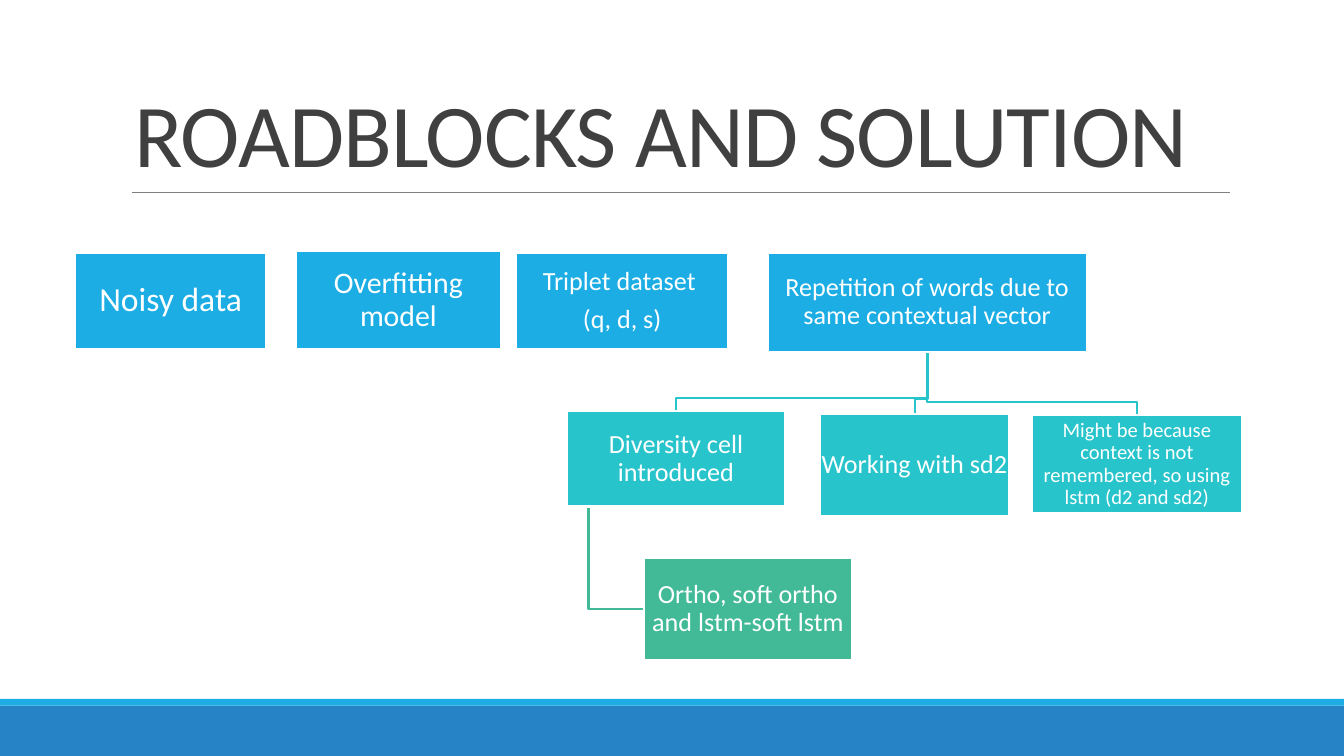
import pptx
import pptx.dml.color
import pptx.enum.shapes
import pptx.enum.text
import pptx.oxml
import pptx.util

Inches = pptx.util.Inches
BLUE, TEAL, GREEN, WHITE = "1CADE4", "28C4CC", "42BA97", "FFFFFF"


def rgb(value):
    return pptx.dml.color.RGBColor.from_string(value)


def apply(obj, values):
    for name, value in values.items():
        setattr(obj, name, value)


class Deck:
    font = "Calibri"
    line_width = 1.25
    box_frame = {
        "word_wrap": True,
        "vertical_anchor": pptx.enum.text.MSO_ANCHOR.MIDDLE,
        **{f"margin_{side}": Inches(0.01) for side in ("left", "top", "right", "bottom")},
    }
    title_frame = {"word_wrap": True, "vertical_anchor": pptx.enum.text.MSO_ANCHOR.BOTTOM}
    centred = {"alignment": pptx.enum.text.PP_ALIGN.CENTER, "line_spacing": 0.9}

    def __init__(self, prs):
        self.slide = prs.slides.add_slide(prs.slide_layouts[6])
        self.shapes = self.slide.shapes

    def stroke(self, sp, color, width):
        sp.line.color.rgb = rgb(color)
        sp.line.width = pptx.util.Pt(width)

    def text(self, tf, lines, size, color, frame, paragraph):
        apply(tf, frame)
        for i, line in enumerate(lines):
            p = tf.paragraphs[0] if i == 0 else tf.add_paragraph()
            apply(p, paragraph)
            r = p.add_run()
            r.text = line
            apply(r.font, {"name": self.font, "size": pptx.util.Pt(size)})
            r.font.color.rgb = rgb(color)

    def rect(self, at, fill):
        sp = self.shapes.add_shape(
            pptx.enum.shapes.MSO_SHAPE.RECTANGLE, *map(Inches, at))
        sp.shadow.inherit = False
        sp.fill.solid()
        sp.fill.fore_color.rgb = rgb(fill)
        sp.line.fill.background()
        return sp

    def box(self, at, fill, size, *lines):
        sp = self.rect(at, fill)
        self.stroke(sp, WHITE, self.line_width)
        spacing = {"space_after": pptx.util.Pt(round(size * 0.35, 1))}
        self.text(sp.text_frame, lines, size, WHITE, self.box_frame,
                  {**self.centred, **spacing})

    def title(self, at, line):
        sp = self.shapes.add_textbox(*map(Inches, at))
        self.text(sp.text_frame, [line], 48, "404040", self.title_frame,
                  {"line_spacing": 0.85})
        r = sp.text_frame.paragraphs[0].runs[0]
        r.font._element.set("spc", "-50")

    def rule(self, x1, x2, y):
        sp = self.shapes.add_connector(
            pptx.enum.shapes.MSO_CONNECTOR.STRAIGHT, *map(Inches, (x1, y, x2, y)))
        self.stroke(sp, "808080", 0.5)
        sp._element.spPr.append(pptx.oxml.parse_xml(
            '<a:effectLst xmlns:a="http://schemas.openxmlformats.org/drawingml/2006/main"/>'))

    def elbow(self, color, *points):
        start, *rest = [tuple(map(Inches, point)) for point in points]
        builder = self.shapes.build_freeform(*start)
        builder.add_line_segments(rest, close=False)
        sp = builder.convert_to_shape()
        sp.shadow.inherit = False
        sp.fill.background()
        self.stroke(sp, color, self.line_width)


def main():
    prs = pptx.Presentation()
    apply(prs, {"slide_width": Inches(10), "slide_height": Inches(10) * 9 // 16})
    s = Deck(prs)

    s.rule(0.98, 9.15, 1.43)
    s.rect((0, 5.25, 10, 0.38), "2683C6")
    s.rect((0, 5.2, 10, 0.05), BLUE)
    s.title((0.9, 0.24, 8.25, 1.19), "ROADBLOCKS AND SOLUTION")

    root_x, root_y = 6.9, 2.62
    for x, turn, end in ((8.46, 2.99, 3.09), (6.81, 2.97, 3.08), (5.03, 2.96, 3.06)):
        s.elbow(TEAL, (root_x, root_y), (root_x, turn), (x, turn), (x, end))
    s.elbow(GREEN, (4.38, 3.77), (4.38, 4.53), (4.79, 4.53))

    s.box((0.56, 1.88, 1.42, 0.72), BLUE, 18, "Noisy data")
    s.box((2.2, 1.87, 1.53, 0.73), BLUE, 16, "Overfitting model")
    s.box((3.84, 1.88, 1.58, 0.72), BLUE, 14, "Triplet dataset ", "(q, d, s)")
    s.box((5.71, 1.88, 2.38, 0.74), BLUE, 14,
          "Repetition of words due to same contextual vector")
    s.box((4.22, 3.06, 1.62, 0.71), TEAL, 14, "Diversity cell introduced")
    s.box((4.79, 4.15, 1.55, 0.76), GREEN, 14, "Ortho, soft ortho and lstm-soft lstm")
    s.box((6.1, 3.08, 1.41, 0.76), TEAL, 14, "Working with sd2")
    s.box((7.68, 3.09, 1.56, 0.73), TEAL, 11,
          "Might be because context is not remembered, so using lstm (d2 and sd2)")

    prs.save("out.pptx")


if __name__ == "__main__":
    main()
